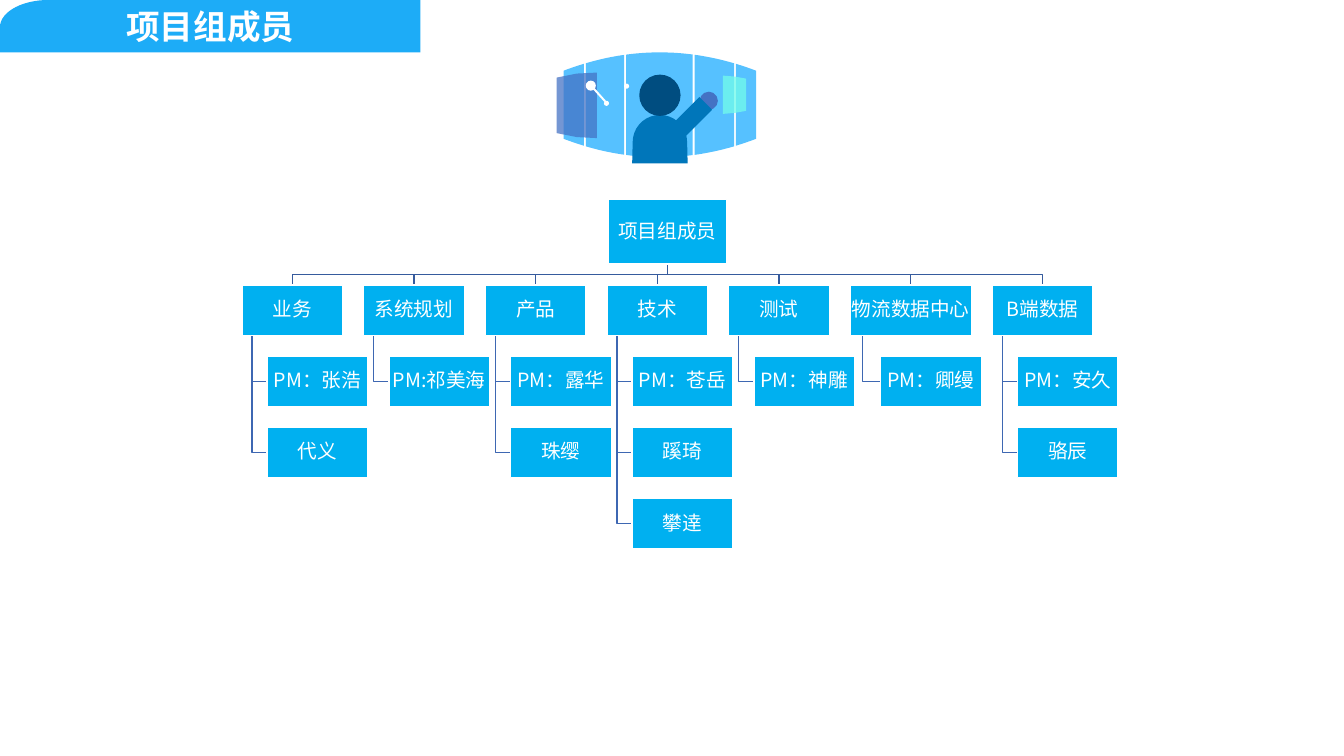
import math
import pptx
import pptx.util
import pptx.dml.color
import pptx.enum.shapes
import pptx.enum.text
import pptx.oxml
import pptx.oxml.ns

Inches = pptx.util.Inches
SHAPE = pptx.enum.shapes.MSO_SHAPE
FONT = "Noto Sans CJK SC"

presentation = pptx.Presentation()
presentation.slide_width = Inches(13.33)
presentation.slide_height = Inches(7.5)
slide = presentation.slides.add_slide(presentation.slide_layouts[6])


def paint(shape, fill=None, line=None, alpha=None, text=None, size=14, bold=False, margin=0.01, spacing=0.9):
    """Set fill and outline from hex strings, and write centred white text."""
    shape.shadow.inherit = False
    for part, color in ((shape.fill, fill), (shape.line.fill, line)):
        if color is None:
            part.background()
        else:
            part.solid()
            part.fore_color.rgb = pptx.dml.color.RGBColor.from_string(color)
    if line:
        shape.line.width = pptx.util.Pt(1)
    if alpha:
        color_element = shape.fill._xPr.find(".//" + pptx.oxml.ns.qn("a:srgbClr"))
        color_element.append(pptx.oxml.parse_xml(
            f'<a:alpha {pptx.oxml.ns.nsdecls("a")} val="{alpha * 1000}"/>'))
    if text:
        frame = shape.text_frame
        frame.word_wrap = True
        frame.vertical_anchor = pptx.enum.text.MSO_ANCHOR.MIDDLE
        frame.margin_left = frame.margin_right = Inches(margin)
        frame.margin_top = frame.margin_bottom = Inches(margin)
        frame.text = text
        paragraph = frame.paragraphs[0]
        paragraph.alignment = pptx.enum.text.PP_ALIGN.CENTER
        paragraph.line_spacing = spacing
        paragraph.font.size = pptx.util.Pt(size)
        paragraph.font.bold = bold
        paragraph.font.color.rgb = pptx.dml.color.RGBColor.from_string("FFFFFF")
        paragraph.font.name = FONT
        paragraph.font._element.append(pptx.oxml.parse_xml(
            f'<a:ea {pptx.oxml.ns.nsdecls("a")} typeface="{FONT}"/>'))


def outline(points, close=True):
    """Join points, given in inches, by straight segments."""
    corners = [(Inches(x), Inches(y)) for x, y in points]
    builder = slide.shapes.build_freeform(*corners[0])
    builder.add_line_segments(corners[1:], close=close)
    return builder.convert_to_shape()


# Title banner with a rounded top-left corner
quarter = [math.radians(angle) for angle in range(0, 91, 6)]
corner = [(0.48 - 0.48 * math.cos(a), 0.27 - 0.27 * math.sin(a)) for a in quarter]
banner = outline(corner + [(4.17, 0), (4.17, 0.52), (0, 0.52)])
paint(banner, "1DACF7", text="项目组成员", size=24, bold=True, margin=0, spacing=1)

# Organisation chart: each team has a name, a box width and its members
teams = [
    ("业务", 1, ["PM：张浩", "代义"]),
    ("系统规划", 1, ["PM:祁美海"]),
    ("产品", 1, ["PM：露华", "珠缨"]),
    ("技术", 1, ["PM：苍岳", "蹊琦", "攀逹"]),
    ("测试", 1, ["PM：神雕"]),
    ("物流数据中心", 1.2, ["PM：卿缦"]),
    ("B端数据", 1, ["PM：安久", "骆辰"]),
]
chart_left, chart_width, box_height = 2.4, 8.44, 0.5
root_top, root_width, root_height = 1.98, 1.17, 0.64
gap = (chart_width - sum(width for _, width, _ in teams)) / (len(teams) - 1)
root_center = chart_left + chart_width / 2
root_bottom = root_top + root_height
team_top = root_bottom + gap
team_bottom = team_top + box_height

boxes = [("项目组成员", root_center - root_width / 2, root_top, root_width, root_height)]
links = []
left = chart_left
for team, width, members in teams:
    center, middle = left + width / 2, root_bottom + gap / 2
    boxes.append((team, left, team_top, width, box_height))
    links.append(("365B9D", [(root_center, root_bottom), (root_center, middle),
                             (center, middle), (center, team_top)]))
    stem, member_left = left + width / 10, left + width / 4
    for row, member in enumerate(members, 1):
        top = team_top + row * (box_height + gap)
        branch = top + box_height / 2
        boxes.append((member, member_left, top, 1, box_height))
        links.append(("3E67B2", [(stem, team_bottom), (stem, branch), (member_left, branch)]))
    left += width + gap

for color, points in links:
    paint(outline(points, close=False), line=color)
for text, *place in boxes:
    box = slide.shapes.add_shape(SHAPE.RECTANGLE, *map(Inches, place))
    paint(box, "00B0F0", "FFFFFF", text=text)

# Illustration: a curved screen of five panels, bulging around its centre
screen_center, screen_middle = 6.545, 1.04
for start, end in ((5.59, 5.79), (5.81, 6.19), (6.21, 6.87), (6.89, 7.28), (7.3, 7.5)):
    steps = [start + (end - start) * i / 12 for i in range(13)]
    top_edge = [(x, 0.52 + 0.2 * (x - screen_center) ** 2) for x in steps]
    bottom_edge = [(x, 2 * screen_middle - y) for x, y in reversed(top_edge)]
    paint(outline(top_edge + bottom_edge), "56C1FF")

# Viewer's shoulders and head
half_turn = [math.radians(angle) for angle in range(0, 181, 10)]
shoulders = [(screen_center - 0.27 * math.cos(a), 1.41 - 0.27 * math.sin(a)) for a in half_turn]
paint(outline(shoulders + [(6.82, 1.62), (6.27, 1.62)]), "0076BA")
head = slide.shapes.add_shape(SHAPE.OVAL, *map(Inches, (6.34, 0.74, 0.41, 0.41)))
paint(head, "004D80")

# Translucent side panels
paint(outline([(5.92, 0.72), (5.72, 0.73), (5.52, 0.77), (5.52, 1.32), (5.72, 1.36), (5.92, 1.37)]),
      "4472C4", alpha=74)
paint(outline([(7.17, 0.75), (7.29, 0.76), (7.4, 0.78), (7.4, 1.1), (7.29, 1.12), (7.17, 1.13)]),
      "73FDEA", alpha=74)

# Dots, their link, the hand and the arm
details = [
    (SHAPE.OVAL, "FFFFFF", 0, (5.81, 0.8, 0.1, 0.1)),
    (SHAPE.OVAL, "FFFFFF", 0, (5.99, 1, 0.05, 0.05)),
    (SHAPE.OVAL, "FFFFFF", 0, (6.19, 0.83, 0.05, 0.05)),
    (SHAPE.RECTANGLE, "FFFFFF", 48.1, (5.81, 0.91, 0.23, 0.02)),
    (SHAPE.OVAL, "4472C4", 0, (6.94, 0.91, 0.18, 0.18)),
    (SHAPE.RECTANGLE, "0076BA", 45, (6.75, 0.96, 0.18, 0.45)),
]
for kind, color, rotation, place in details:
    detail = slide.shapes.add_shape(kind, *map(Inches, place))
    detail.rotation = rotation
    paint(detail, color)

presentation.save("out.pptx")
